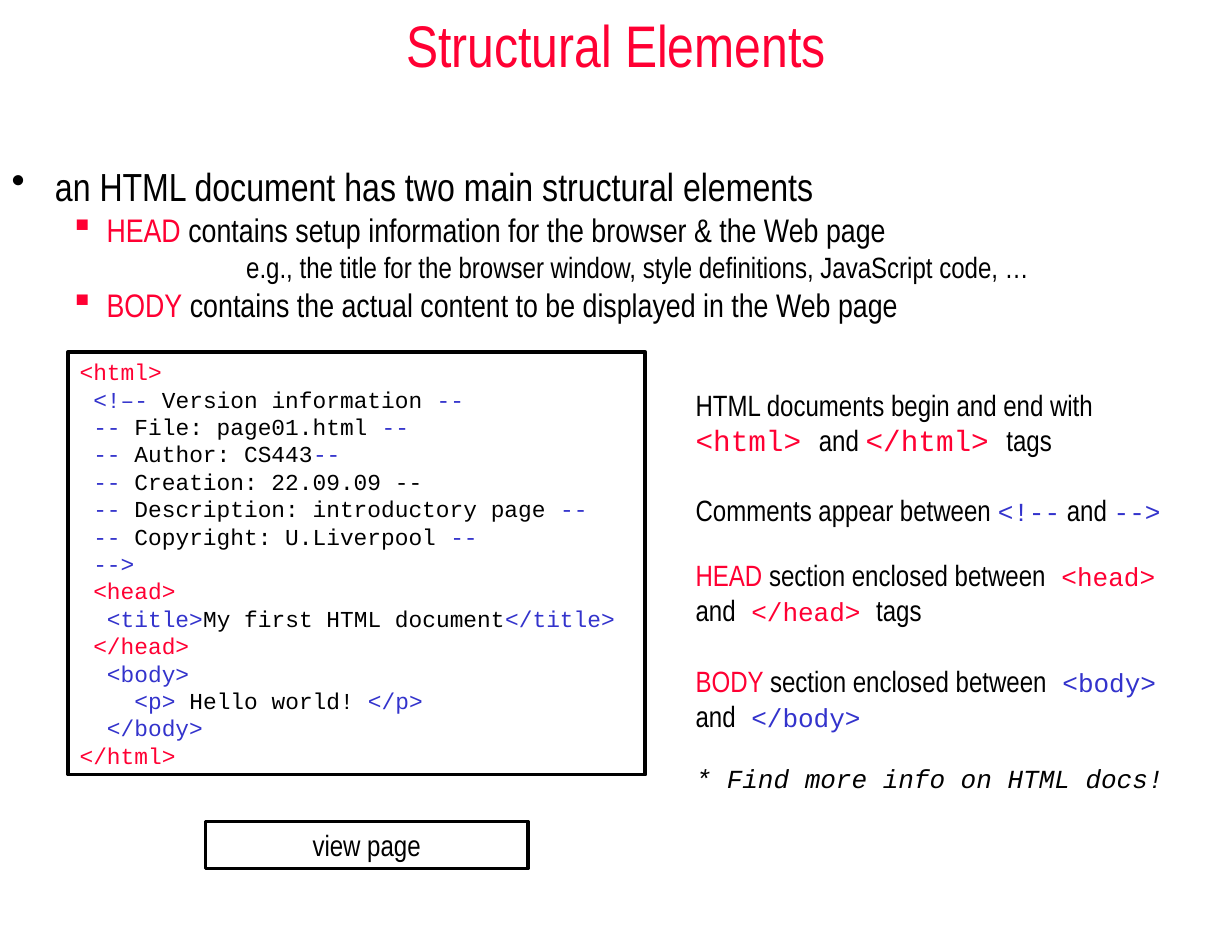
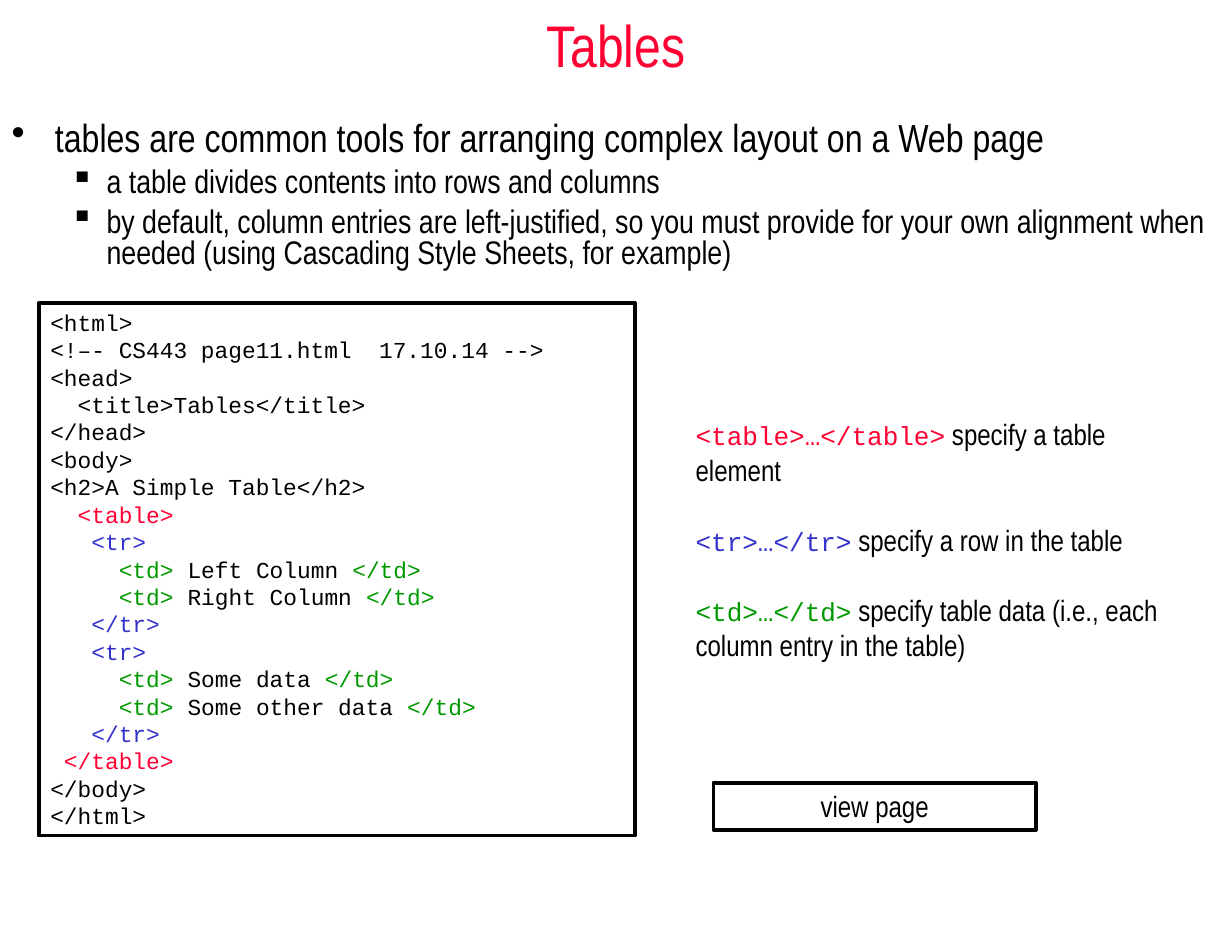
"""Build two slides on HTML structure and tables."""
from pptx import Presentation
from pptx.dml.color import RGBColor
from pptx.enum.shapes import MSO_SHAPE
from pptx.enum.text import MSO_ANCHOR, PP_ALIGN
from pptx.util import Inches, Pt
from lxml.etree import SubElement
from pptx.oxml.ns import qn

HUES = {"red": "FF0033", "blue": "3333CC", "green": "009900", "black": "000000"}
NARROW, MONO = "Arial Narrow", "Courier New"
LOOKS = {
    "k": {"name": NARROW, "hue": "black"},
    "r": {"name": NARROW, "hue": "red"},
    "K": {"name": MONO, "hue": "black"},
    "R": {"name": MONO, "hue": "red"},
    "B": {"name": MONO, "hue": "blue"},
    "G": {"name": MONO, "hue": "green"},
    "H": {"name": MONO, "hue": "red", "size": Pt(18)},
    "I": {"name": MONO, "hue": "black", "italic": True},
}
LEVELS = [
    {"size": 24, "left": 0.37, "hang": -0.37, "mark": "•", "gap": 6, "line": 1.0},
    {"size": 20, "left": 0.81, "hang": -0.31, "mark": "▪", "gap": 5, "line": 0.8},
    {"size": 18, "left": 2.5, "hang": -0.5, "mark": "", "gap": 4.5, "line": 0.8},
]

PAGES = [
    {
        "title": "Structural Elements",
        "list": (0, 1.33, 10.5, 1.75),
        "mark": "red",
        "points": [
            (0, "k|an HTML document has two main structural elements"),
            (1, "r|HEAD|k| contains setup information for the browser & the Web page"),
            (2, "k|e.g., the title for the browser window, style definitions, JavaScript code, …"),
            (1, "r|BODY|k| contains the actual content to be displayed in the Web page"),
        ],
        "code": (0.58, 3, 4.92, 3.6),
        "lines": [
            "R|<html>",
            "B| <!–-|K| Version information |B|--",
            "B| --|K| File: page01.html |B|--",
            "B| --|K| Author: CS443|B|--",
            "B| --|K| Creation: 22.09.09 --",
            "B| --|K| Description: introductory page |B|--",
            "B| --|K| Copyright: U.Liverpool |B|--",
            "B| -->",
            "R| <head>",
            "B|  <title>|K|My first HTML document|B|</title>",
            "R| </head>",
            "B|  <body>",
            "B|    <p>|K| Hello world! |B|</p>",
            "B|  </body>",
            "R|</html>",
        ],
        "side": (5.83, 3.25, 4.42, 3.6),
        "notes": [
            (0, "k|HTML documents begin and end with |H|<html> |k|and |H|</html> |k|tags"),
            (21.5, "k|Comments appear between |B|<!--|k| and |B|-->"),
            (18, "r|HEAD|k| section enclosed between|R| <head> |k|and|R| </head> |k|tags"),
            (21.5, "r|BODY |k|section enclosed between|B| <body> |k|and|B| </body>"),
            (18, "I|* Find more info on HTML docs!"),
        ],
        "view": (1.75, 7, 2.75, 0.4),
    },
    {
        "title": "Tables",
        "list": (0, 0.92, 10.5, 1.42),
        "mark": "black",
        "points": [
            (0, "k|tables are common tools for arranging complex layout on a Web page"),
            (1, "k|a table divides contents into rows and columns"),
            (1, "k|by default, column entries are left-justified, so you must provide for your own "
                "alignment when needed (using Cascading Style Sheets, for example)"),
        ],
        "code": (0.33, 2.58, 5.08, 4.54),
        "lines": [
            "K|<html>",
            "K|<!–- CS443 page11.html  17.10.14 -->",
            "K|<head>",
            "K|  <title>Tables</title>",
            "K|</head>",
            "K|<body>",
            "K|<h2>A Simple Table</h2>",
            "R|  <table>",
            "B|   <tr>",
            "G|     <td>|K| Left Column |G|</td>",
            "G|     <td>|K| Right Column |G|</td>",
            "B|   </tr>",
            "B|   <tr>",
            "G|     <td>|K| Some data |G|</td>",
            "G|     <td>|K| Some other data |G|</td>",
            "B|   </tr>",
            "R| </table>",
            "K|</body>",
            "K|</html>",
        ],
        "side": (5.83, 3.5, 4.42, 2.2),
        "notes": [
            (0, "R|<table>…</table>|k| specify a table element"),
            (21.5, "B|<tr>…</tr>|k| specify a row in the table"),
            (21.5, "G|<td>…</td>|k| specify table data (i.e., each column entry in the table)"),
        ],
        "view": (6.08, 6.67, 2.75, 0.4),
    },
]


def frame(slide, spot, edge=False):
    """Add a wrapped text box, or an outlined rectangle, and return its text frame."""
    spot = [Inches(n) for n in spot]
    if edge:
        box = slide.shapes.add_shape(MSO_SHAPE.RECTANGLE, *spot)
        box.shadow.inherit = False
        box.fill.background()
        box.line.color.rgb = RGBColor.from_string(HUES["black"])
        box.line.width = Pt(2.25)
    else:
        box = slide.shapes.add_textbox(*spot)
    box.text_frame.word_wrap = True
    box.text_frame.vertical_anchor = MSO_ANCHOR.TOP
    return box.text_frame


def write(text, runs, size, mono=16, gap=0, align=PP_ALIGN.LEFT):
    """Fill the next paragraph from alternating look keys and words."""
    first = not text.paragraphs[0].runs
    para = text.paragraphs[0] if first else text.add_paragraph()
    para.alignment = align
    if gap and not first:
        para.space_before = Pt(gap)
    parts = runs.split("|")
    for key, words in zip(parts[::2], parts[1::2]):
        run = para.add_run()
        run.text = words
        look = {"size": Pt(mono if key.isupper() else size), **LOOKS[key]}
        run.font.color.rgb = RGBColor.from_string(HUES[look.pop("hue")])
        for name, value in look.items():
            setattr(run.font, name, value)
    return para


deck = Presentation()
deck.slide_width, deck.slide_height = Inches(10.5), Inches(8)

for page in PAGES:
    slide = deck.slides.add_slide(deck.slide_layouts[6])

    title = frame(slide, (0, 0, 10.5, 0.75))
    title.vertical_anchor = MSO_ANCHOR.MIDDLE
    write(title, "r|" + page["title"], 36, align=PP_ALIGN.CENTER)

    points = frame(slide, page["list"])
    for depth, words in page["points"]:
        level = LEVELS[depth]
        para = write(points, words, level["size"], gap=level["gap"])
        para.level = depth
        para.line_spacing = level["line"]
        props = para._p.get_or_add_pPr()
        props.set("marL", str(Inches(level["left"])))
        props.set("indent", str(Inches(level["hang"])))
        if level["mark"]:
            tint = SubElement(props, qn("a:buClr"))
            hue = page["mark"] if depth else "black"
            SubElement(tint, qn("a:srgbClr")).set("val", HUES[hue])
            SubElement(props, qn("a:buChar")).set("char", level["mark"])

    code = frame(slide, page["code"], edge=True)
    for line in page["lines"]:
        write(code, line, 14, mono=14)

    notes = frame(slide, page["side"])
    for gap, words in page["notes"]:
        write(notes, words, 18, gap=gap)

    view = frame(slide, page["view"], edge=True)
    write(view, "k|view page", 18, align=PP_ALIGN.CENTER)

deck.save("out.pptx")
